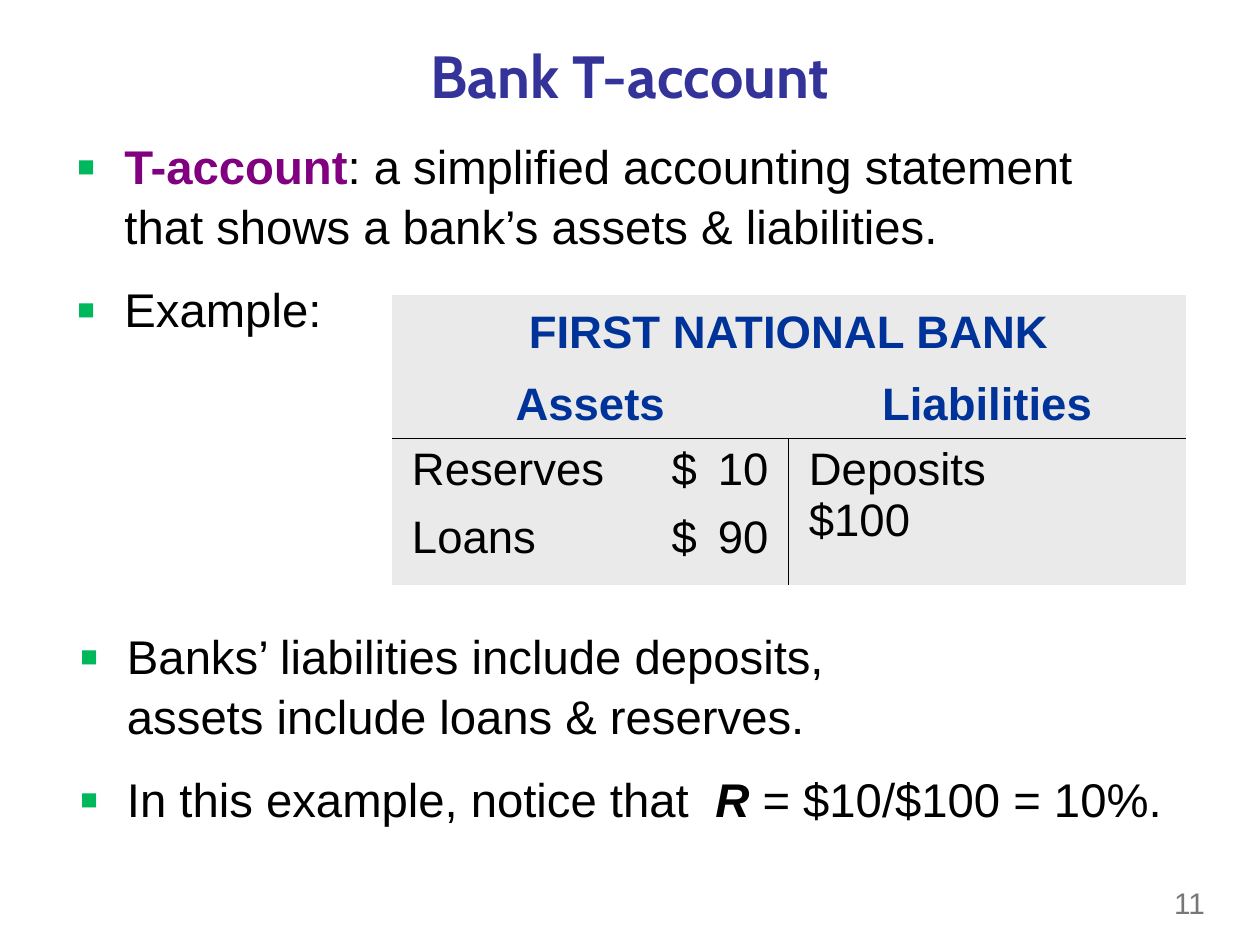
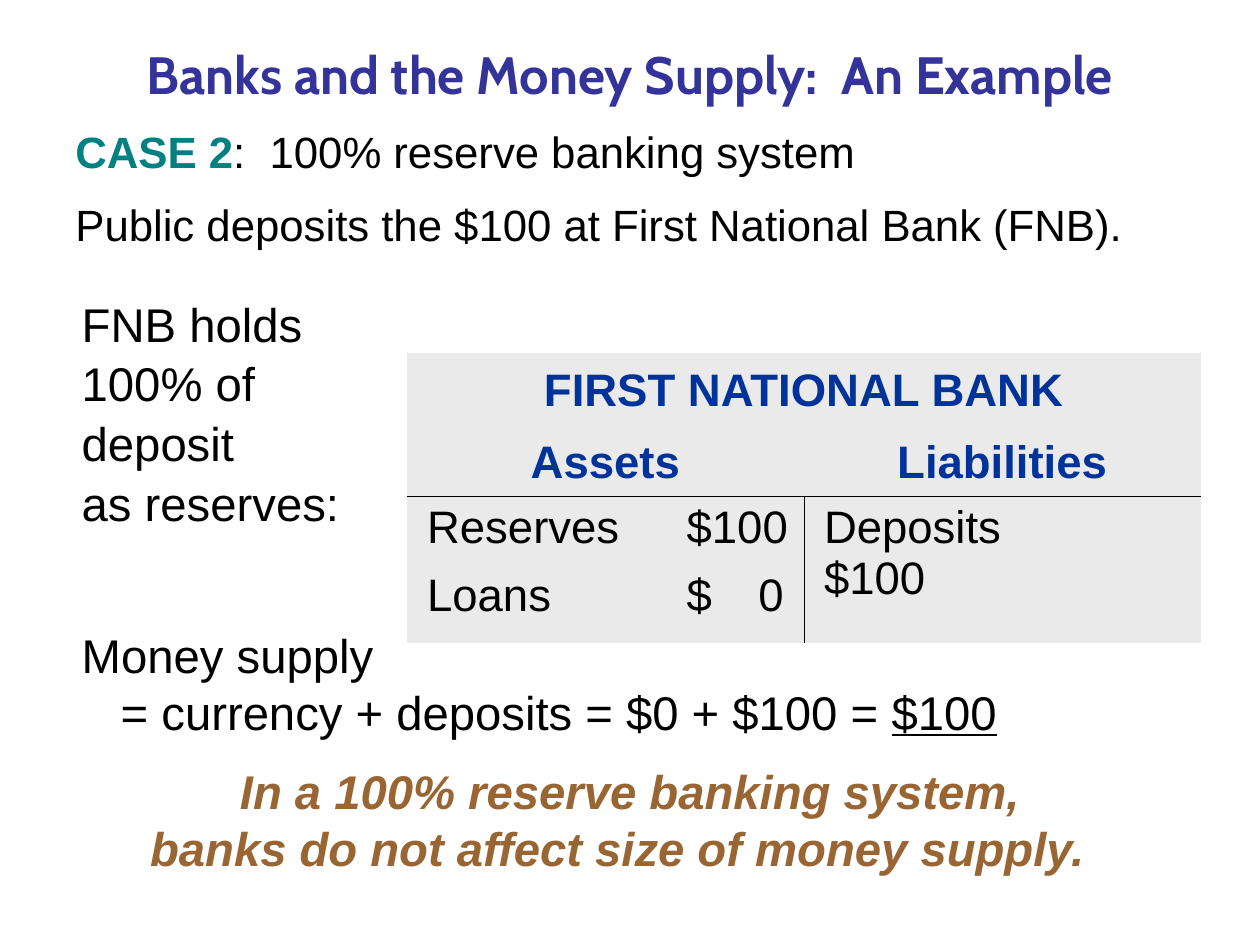
import dataclasses
import typing

import lxml.etree
import pptx
import pptx.dml.color
import pptx.enum.shapes
import pptx.enum.text
import pptx.oxml.ns
import pptx.util

Inches = pptx.util.Inches
Pt = pptx.util.Pt
qn = pptx.oxml.ns.qn
CENTER = pptx.enum.text.PP_ALIGN.CENTER
MIDDLE = pptx.enum.text.MSO_ANCHOR.MIDDLE

# Shared colours and type
TITLE_BLUE, TABLE_BLUE = "333399", "003399"
BLACK, WHITE, GREY, TABLE_GREY = "000000", "FFFFFF", "777777", "EAEAEA"
PURPLE, TEAL, BROWN, BULLET_GREEN = "800080", "008080", "996633", "00B85C"
BODY_SIZE, CASE_SIZE, TABLE_SIZE = 27, 25, 26
PLAIN_TABLE_STYLE = "{2D5ABB26-0587-4C30-8999-92F81FD0307C}"


@dataclasses.dataclass
class Span:
    text: str
    color: str = BLACK
    size: float = BODY_SIZE
    format: dict = dataclasses.field(default_factory=dict)


@dataclasses.dataclass
class Para:
    spans: list[Span]
    format: dict = dataclasses.field(default_factory=dict)
    margins: dict = dataclasses.field(default_factory=dict)
    bullet: bool = False
    tabs: tuple = ()


@dataclasses.dataclass
class Area:
    left: float
    top: float
    width: float
    height: float

    def lengths(self) -> list:
        return [Inches(value) for value in dataclasses.astuple(self)]


BODY = {"space_before": Pt(13.5), "line_spacing": 1.05}
CASE = {"space_before": Pt(13.5), "line_spacing": 0.95}
RESULT = {"space_before": Pt(11.8)}
CELL = {"space_before": Pt(9.8)}


def rgb(color: str) -> pptx.dml.color.RGBColor:
    return pptx.dml.color.RGBColor.from_string(color)


def set_all(target: typing.Any, values: dict) -> None:
    for name, value in values.items():
        setattr(target, name, value)


def add_xml(parent: typing.Any, tag: str, **attributes: str) -> typing.Any:
    return lxml.etree.SubElement(parent, qn(tag), attributes)


# Text
def add_span(paragraph: typing.Any, span: Span) -> None:
    for number, line in enumerate(span.text.split("\n")):
        if number:
            paragraph.add_line_break()
        run = paragraph.add_run()
        run.text = line
        set_all(run.font, {"name": "Arial", "size": Pt(span.size), **span.format})
        run.font.color.rgb = rgb(span.color)


def write_text(frame: typing.Any, paras: list[Para]) -> None:
    for number, para in enumerate(paras):
        paragraph = frame.add_paragraph() if number else frame.paragraphs[0]
        set_all(paragraph, para.format)
        properties = paragraph._p.get_or_add_pPr()
        margins = {"marL": 0.38, "indent": -0.38} if para.bullet else para.margins
        for name, value in margins.items():
            properties.set(name, str(int(Inches(value))))
        if para.bullet:
            add_xml(add_xml(properties, "a:buClr"), "a:srgbClr", val=BULLET_GREEN)
            add_xml(properties, "a:buSzPct", val="120000")
            add_xml(properties, "a:buFont", typeface="Arial")
            add_xml(properties, "a:buChar", char="▪")
        if para.tabs:
            tab_list = add_xml(properties, "a:tabLst")
            for position, side in para.tabs:
                add_xml(tab_list, "a:tab", pos=str(int(Inches(position))), algn=side)
        for span in para.spans:
            add_span(paragraph, span)


def add_text(page: typing.Any, area: Area, paras: list[Para], **frame_format: typing.Any) -> None:
    box = page.shapes.add_textbox(*area.lengths())
    set_all(box.text_frame, {"word_wrap": True, **frame_format})
    write_text(box.text_frame, paras)


def add_title(page: typing.Any, area: Area, text: str, size: float) -> None:
    span = Span(text, TITLE_BLUE, size, {"name": "Cabin", "bold": True})
    add_text(page, area, [Para([span], {"alignment": CENTER})], vertical_anchor=MIDDLE)


# T-account table
def add_border(cell: typing.Any, side: str) -> None:
    line = lxml.etree.Element(qn(f"a:ln{side}"), w=str(int(Pt(0.45))))
    add_xml(add_xml(line, "a:solidFill"), "a:srgbClr", val=BLACK)
    properties = cell._tc.get_or_add_tcPr()
    borders = [child for child in properties if child.tag.startswith(qn("a:ln"))]
    properties.insert(len(borders), line)


def entry(text: str, *tabs: tuple) -> Para:
    return Para([Span(text, size=TABLE_SIZE)], CELL, {"marL": 0.06}, tabs=tabs)


def heading(text: str) -> list[Para]:
    span = Span(text, TABLE_BLUE, TABLE_SIZE, {"bold": True})
    return [Para([span], {"alignment": CENTER, **CELL})]


def add_account(page: typing.Any, left: float, top: float, reserves: str, loans: str) -> None:
    table = page.shapes.add_table(3, 2, *Area(left, top, 6.3, 2.3).lengths()).table
    set_all(table, {"first_row": False, "horz_banding": False})
    table._tbl.tblPr.find(qn("a:tableStyleId")).text = PLAIN_TABLE_STYLE
    for row, height in zip(table.rows, (0.6, 0.54, 1.16)):
        row.height = Inches(height)
    table.cell(0, 0).merge(table.cell(0, 1))

    amount_tabs = ((2.06, "l"), (2.86, "r"))
    assets = [entry(f"Reserves\t{reserves}", *amount_tabs),
              entry(f"Loans\t{loans}", *amount_tabs)]
    liabilities = [entry("Deposits\t$100", (2.13, "l"))]
    contents = {
        (0, 0): (heading("FIRST NATIONAL BANK"), ""),
        (0, 1): ([], ""),
        (1, 0): (heading("Assets"), "B"),
        (1, 1): (heading("Liabilities"), "B"),
        (2, 0): (assets, "RT"),
        (2, 1): (liabilities, "LT"),
    }
    for (row, column), (paras, borders) in contents.items():
        cell = table.cell(row, column)
        cell.fill.solid()
        cell.fill.fore_color.rgb = rgb(TABLE_GREY)
        if row < 2:
            cell.vertical_anchor = MIDDLE
        set_all(cell, {"margin_left": Inches(0.1), "margin_right": Inches(0.1)})
        write_text(cell.text_frame, paras)
        for side in borders:
            add_border(cell, side)


def bullet(*spans: Span) -> Para:
    return Para(list(spans), BODY, bullet=True)


def build_t_account(page: typing.Any) -> None:
    add_text(page, Area(9.22, 6.96, 0.67, 0.41), [Para([Span("11", GREY, 17)])],
             vertical_anchor=MIDDLE)
    add_title(page, Area(0.5, 0.24, 9, 0.71), "Bank T-account", 34)
    add_text(page, Area(0.51, 1.02, 9, 1.78), [
        bullet(Span("T-account", PURPLE, format={"bold": True}),
               Span(": a simplified accounting statement\n"
                    "that shows a bank’s assets & liabilities.")),
        bullet(Span("Example:")),
    ])
    add_account(page, 3.11, 2.34, "$\t10", "$\t90")
    add_text(page, Area(0.53, 4.91, 8.96, 1.98), [
        bullet(Span("Banks’ liabilities include deposits,\n"
                    "assets include loans & reserves.")),
        bullet(Span("In this example, notice that  "),
               Span("R", format={"bold": True, "italic": True}),
               Span(" = $10/$100 = 10%.")),
    ])


def build_full_reserve_case(page: typing.Any) -> None:
    add_title(page, Area(0, 0.23, 10, 0.71), "Banks and the Money Supply:  An Example", 30)
    add_text(page, Area(0.5, 0.97, 9.19, 1.37), [
        Para([Span("CASE 2", TEAL, CASE_SIZE, {"bold": True}),
              Span(":  100% reserve banking system", size=CASE_SIZE)], CASE),
        Para([Span("Public deposits the $100 at First National Bank (FNB).",
                   size=CASE_SIZE)], CASE),
    ])
    add_account(page, 3.23, 2.8, "$100", "$\t0")
    add_text(page, Area(0.55, 2.27, 2.45, 1.99), [
        Para([Span("FNB holds\n100% of\ndeposit\nas reserves:")], BODY)])
    add_text(page, Area(0.55, 4.92, 8.38, 1), [
        Para([Span("Money supply\n= currency + deposits = $0 + $100 = "),
              Span("$100", format={"underline": True})],
             RESULT, {"marL": 0.31, "indent": -0.31})])

    # Conclusion on a white band
    band = page.shapes.add_shape(pptx.enum.shapes.MSO_SHAPE.RECTANGLE,
                                 *Area(0.51, 6, 9.08, 1.28).lengths())
    band.shadow.inherit = False
    band.fill.solid()
    band.fill.fore_color.rgb = rgb(WHITE)
    band.line.fill.background()
    set_all(band.text_frame, {"word_wrap": True,
                              "vertical_anchor": pptx.enum.text.MSO_ANCHOR.TOP})
    emphasis = {"bold": True, "italic": True}
    write_text(band.text_frame, [
        Para([Span("In a 100% reserve banking system,", BROWN, format=emphasis)],
             {"alignment": CENTER, **RESULT}, {"marR": 0.1}),
        Para([Span("banks do not affect size of money supply.", BROWN, format=emphasis)],
             {"alignment": CENTER}, {"marR": 0.3}),
    ])


def main() -> None:
    deck = pptx.Presentation()
    set_all(deck, {"slide_width": Inches(10), "slide_height": Inches(7.5)})
    for build in (build_t_account, build_full_reserve_case):
        build(deck.slides.add_slide(deck.slide_layouts[6]))
    deck.save("out.pptx")


if __name__ == "__main__":
    main()
